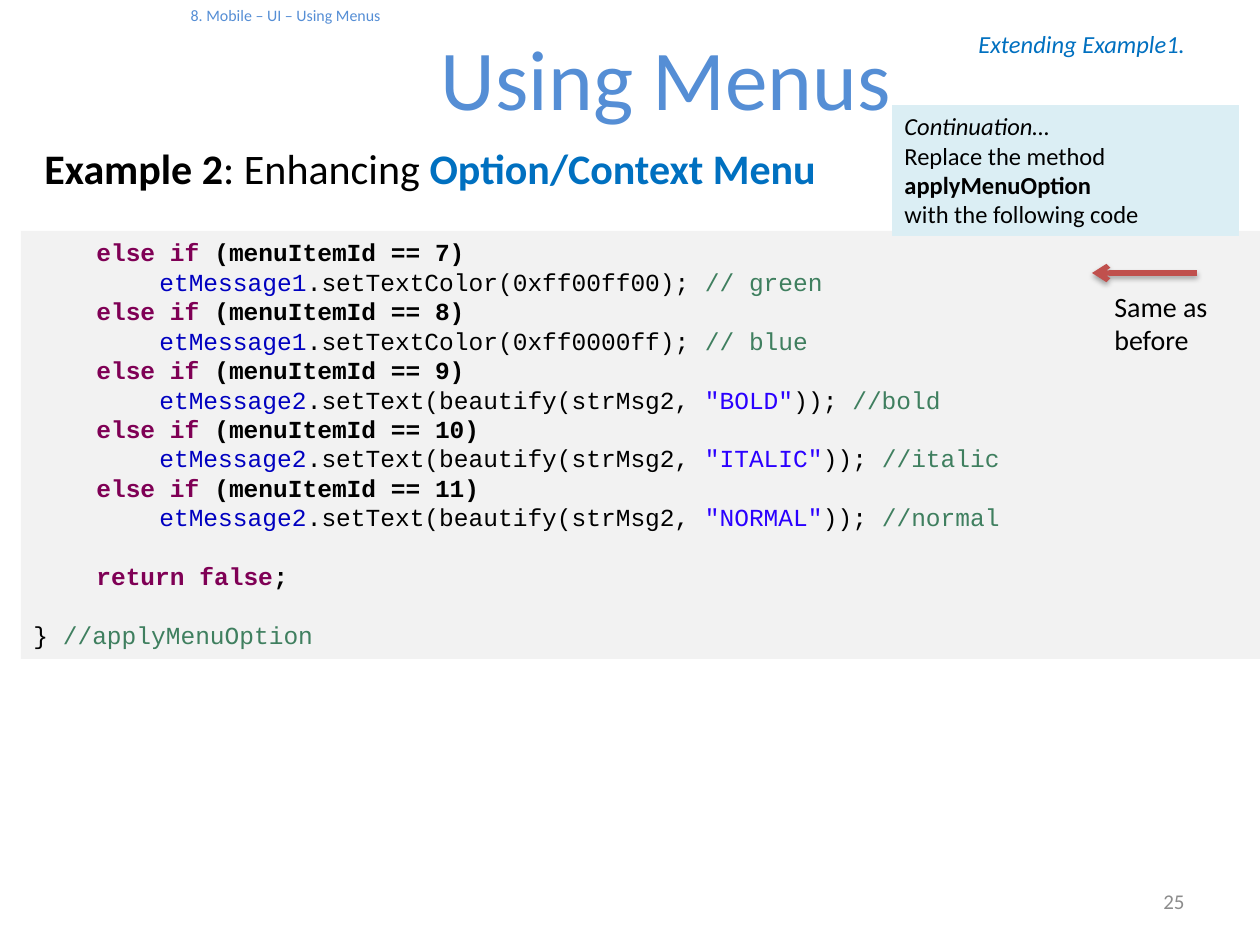
from lxml.etree import SubElement
from pptx import Presentation
from pptx.dml.color import RGBColor
from pptx.enum.shapes import MSO_CONNECTOR, MSO_SHAPE
from pptx.enum.text import MSO_ANCHOR, MSO_AUTO_SIZE, PP_ALIGN
from pptx.oxml import parse_xml
from pptx.oxml.ns import nsdecls, qn
from pptx.util import Inches, Pt

BLACK = RGBColor(0x00, 0x00, 0x00)
TITLE_BLUE = RGBColor(0x55, 0x8E, 0xD5)
ACCENT_BLUE = RGBColor(0x00, 0x70, 0xC0)
NUMBER_GRAY = RGBColor(0x8C, 0x8C, 0x8C)
CODE_FILL = RGBColor(0xF2, 0xF2, 0xF2)
NOTE_FILL = RGBColor(0xDB, 0xEE, 0xF4)
ARROW_RED = RGBColor(0xC0, 0x50, 0x4D)
KEYWORD = RGBColor(0x7F, 0x00, 0x55)
FIELD = RGBColor(0x00, 0x00, 0xC0)
STRING = RGBColor(0x2A, 0x00, 0xFF)
COMMENT = RGBColor(0x3F, 0x7F, 0x5F)
CODE_LEADING = Pt(16.85)


def px(*lengths):
    """Turn pixels (126 to the inch) into a list of EMU."""
    return [round(length * Inches(1) / 126) for length in lengths]


def write(shape, lines, size, font="Calibri"):
    """Fill a shape with lines, each a list of (text, colour, bold) spans."""
    frame = shape.text_frame
    frame.word_wrap = True
    for index, spans in enumerate(lines):
        paragraph = frame.paragraphs[0] if index == 0 else frame.add_paragraph()
        paragraph.alignment = PP_ALIGN.LEFT
        paragraph.font.size = Pt(size)
        paragraph.font.name = font
        for text, colour, bold in spans:
            run = paragraph.add_run()
            run.text = text
            run.font.color.rgb = colour
            run.font.bold = bold
    return frame.paragraphs


presentation = Presentation()
presentation.slide_width, presentation.slide_height = px(1260, 945)
slide = presentation.slides.add_slide(presentation.slide_layouts[5])
shapes = slide.shapes

# Title with the chapter line above it
title = shapes.title
title.left, title.top, title.width, title.height = px(42, 6, 1134, 120)
title.text_frame.auto_size = MSO_AUTO_SIZE.NONE
title.text_frame.vertical_anchor = MSO_ANCHOR.TOP
title.text_frame.margin_top = 0
chapter, heading = write(title, [
    [("8. Mobile – UI – Using Menus", TITLE_BLUE, False)],
    [("Using Menus", TITLE_BLUE, False)],
], 9.1)
heading.font.size = Pt(48.7)
heading.alignment = PP_ALIGN.CENTER
for paragraph, indent in ((chapter, 136), (heading, 114)):
    paragraph._p.get_or_add_pPr().set("marL", str(px(indent)[0]))

page_number = shapes.add_textbox(*px(903, 876, 294, 50))
page_number.text_frame.vertical_anchor = MSO_ANCHOR.MIDDLE
write(page_number, [[("25", NUMBER_GRAY, False)]], 12)[0].alignment = PP_ALIGN.RIGHT

subtitle = shapes.add_textbox(*px(32, 136, 1176, 63))
write(subtitle, [[
    ("Example 2", BLACK, True),
    (": Enhancing ", BLACK, False),
    ("Option/Context Menu", ACCENT_BLUE, True),
]], 24)

# Code listing
branches = [
    (7, "etMessage1", ".setTextColor(0xff00ff00); ", "", "// green"),
    (8, "etMessage1", ".setTextColor(0xff0000ff); ", "", "// blue"),
]
for item, style in ((9, "bold"), (10, "italic"), (11, "normal")):
    branches.append((item, "etMessage2", ".setText(beautify(strMsg2, ",
                     f'"{style.upper()}"', f"//{style}"))

code_lines, indents = [], []
for item, field, call, string, comment in branches:
    code_lines.append([("else if", KEYWORD, True),
                       (f" (menuItemId == {item})", BLACK, True)])
    action = [(field, FIELD, False), (call, BLACK, False)]
    if string:
        action += [(string, STRING, False), (")); ", BLACK, False)]
    code_lines.append(action + [(comment, COMMENT, False)])
    indents += [63, 126]
code_lines.append([("return false", KEYWORD, True), (";", BLACK, True)])
code_lines.append([("} ", BLACK, False), ("//applyMenuOption", COMMENT, False)])
indents += [63, 0]

code_box = shapes.add_shape(MSO_SHAPE.RECTANGLE, *px(21, 231, 1239, 428))
note_box = shapes.add_shape(MSO_SHAPE.RECTANGLE, *px(892, 105, 347, 131))
for box, fill in ((code_box, CODE_FILL), (note_box, NOTE_FILL)):
    box.shadow.inherit = False
    box.fill.solid()
    box.fill.fore_color.rgb = fill
    box.line.fill.background()
    box.text_frame.vertical_anchor = MSO_ANCHOR.TOP

code_paragraphs = write(code_box, code_lines, 14, "Courier New")
for paragraph, indent in zip(code_paragraphs, indents):
    paragraph.line_spacing = CODE_LEADING
    paragraph._p.get_or_add_pPr().set("marL", str(px(indent)[0]))
for paragraph in code_paragraphs[-2:]:
    paragraph.space_before = CODE_LEADING

# Remarks around the code
note_paragraphs = write(note_box, [
    [("Continuation…", BLACK, False)],
    [("Replace the method", BLACK, False)],
    [("applyMenuOption", BLACK, True)],
    [("with the following code", BLACK, False)],
], 14)
note_paragraphs[0].font.italic = True
note_paragraphs[0].runs[0].font.italic = True

extending = shapes.add_textbox(*px(966, 23, 262, 43))
extending_paragraph = write(
    extending, [[("Extending Example1.", ACCENT_BLUE, False)]], 14)[0]
extending_paragraph.runs[0].font.italic = True

arrow = shapes.add_connector(MSO_CONNECTOR.STRAIGHT, *px(1197, 273, 1092, 273))
arrow.line.color.rgb = ARROW_RED
arrow.line.width = Pt(3)
SubElement(arrow.line._get_or_add_ln(), qn("a:tailEnd"), type="arrow")
arrow._element.spPr.append(parse_xml(
    f'<a:effectLst {nsdecls("a")}>'
    '<a:outerShdw blurRad="40000" dist="23000" dir="5400000" rotWithShape="0">'
    '<a:srgbClr val="000000"><a:alpha val="35000"/></a:srgbClr>'
    '</a:outerShdw></a:effectLst>'))

same_as_before = shapes.add_textbox(*px(1102, 283, 158, 81))
write(same_as_before, [[("Same as before", BLACK, False)]], 16)

presentation.save("out.pptx")
